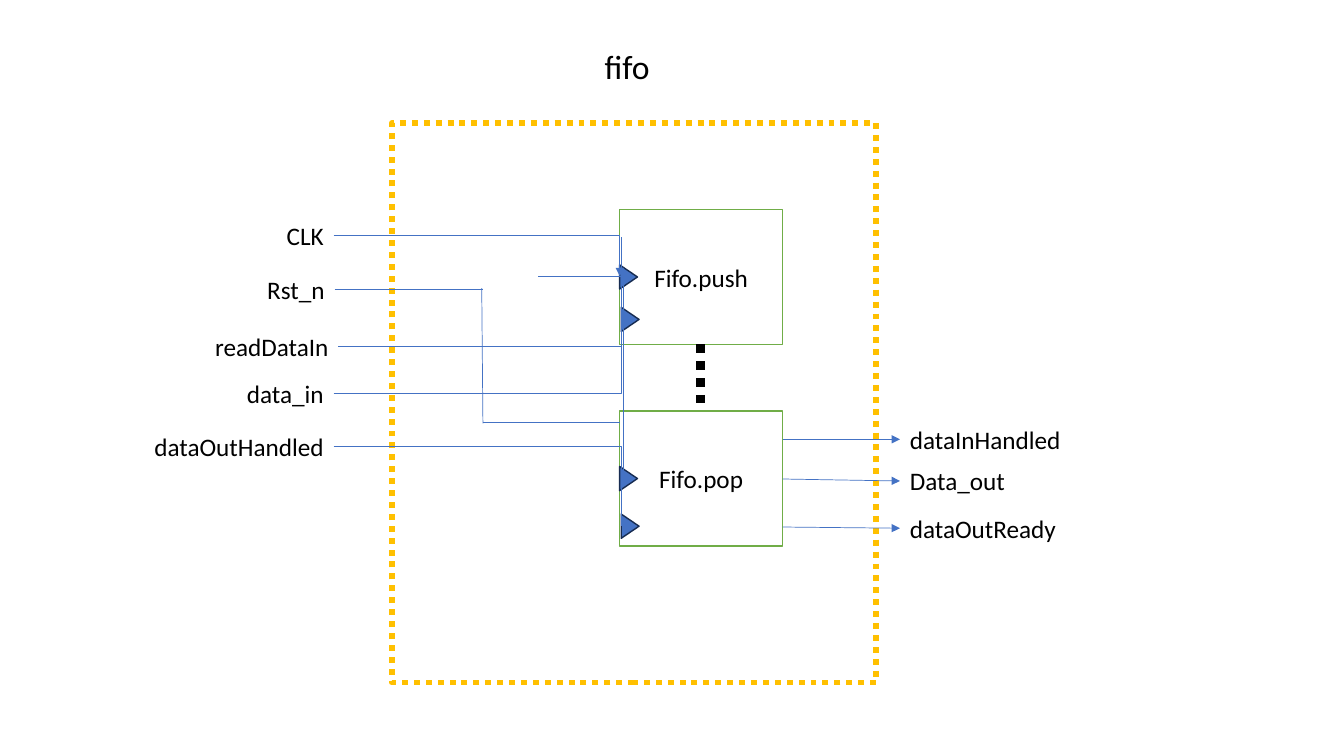
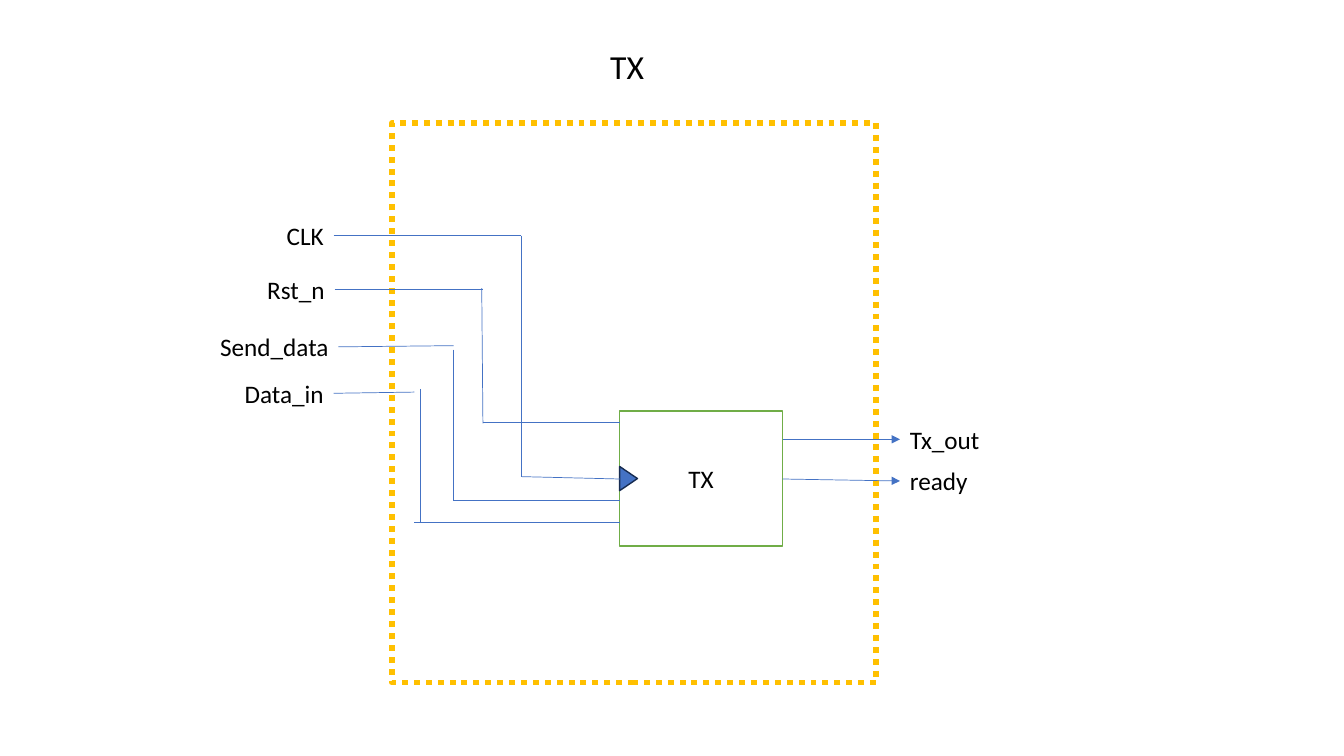
import pptx
import pptx.dml.color
import pptx.enum.dml
import pptx.enum.shapes
import pptx.enum.text
import pptx.oxml.ns
import pptx.util
from lxml import etree

Cm, Pt = pptx.util.Cm, pptx.util.Pt
SHAPE = pptx.enum.shapes.MSO_SHAPE
CONNECTOR = pptx.enum.shapes.MSO_CONNECTOR
ALIGN = pptx.enum.text.PP_ALIGN
ANCHOR = pptx.enum.text.MSO_ANCHOR
DOTS = pptx.enum.dml.MSO_LINE.ROUND_DOT
qn = pptx.oxml.ns.qn

# Shared geometry in centimetres
BLOCK_LEFT, BLOCK_WIDTH, BLOCK_HEIGHT = 15.62, 4.1, 3.4
BLOCK_RIGHT = BLOCK_LEFT + BLOCK_WIDTH
PUSH_TOP, POP_TOP = 5.28, 10.36
LABEL_HEIGHT = 1.02
OUTPUT_LEFT, OUTPUT_WIDTH = 22.68, 5.6
OUTPUT_ROWS = [(11.07, 11.07), (12.07, 12.12), (13.28, 13.31)]


def rgb(value):
    return pptx.dml.color.RGBColor.from_string(value)


def put_text(tf, text, size=18, align=ALIGN.LEFT, color="000000", font="Calibri"):
    p = tf.paragraphs[0]
    p.alignment = align
    r = p.add_run()
    r.text = text
    r.font.size = Pt(size)
    r.font.name = font
    r.font.color.rgb = rgb(color)


class Diagram:
    WIRE, FRAME, BLOCK, CLOCK_EDGE = "4472C4", "FFC000", "70AD47", "172C51"

    def __init__(self, prs):
        self.prs = prs
        self.s = None

    def new_slide(self, title):
        self.s = self.prs.slides.add_slide(self.prs.slide_layouts[6])
        self.box(SHAPE.RECTANGLE, 9.88, 3.1, 12.2, 14.1, self.FRAME, weight=4.25, dash=DOTS)
        self.text(title, 13.94, 1.02, 3.73, 1.27, size=24, align=ALIGN.CENTER)

    def text(self, text, left, top, width, height=LABEL_HEIGHT, **fmt):
        sp = self.s.shapes.add_textbox(Cm(left), Cm(top), Cm(width), Cm(height))
        sp.text_frame.word_wrap = True
        put_text(sp.text_frame, text, **fmt)

    def box(self, kind, left, top, width, height, line, fill="FFFFFF", **stroke):
        sp = self.s.shapes.add_shape(kind, Cm(left), Cm(top), Cm(width), Cm(height))
        sp.shadow.inherit = False
        sp.fill.solid()
        sp.fill.fore_color.rgb = rgb(fill)
        self.stroke(sp.line, line, **stroke)
        return sp

    def stroke(self, line, color, weight=1, dash=None):
        line.color.rgb = rgb(color)
        line.width = Pt(weight)
        if dash:
            line.dash_style = dash

    def block(self, text, top, clocks):
        sp = self.box(SHAPE.RECTANGLE, BLOCK_LEFT, top, BLOCK_WIDTH, BLOCK_HEIGHT, self.BLOCK)
        sp.text_frame.vertical_anchor = ANCHOR.MIDDLE
        put_text(sp.text_frame, text, align=ALIGN.CENTER)
        # Clock marks: centre x, centre y below the top of the block
        base, depth = 0.61, 0.45
        for x, y in clocks:
            mark = self.box(SHAPE.ISOSCELES_TRIANGLE, x - base / 2, top + y - depth / 2,
                            base, depth, self.CLOCK_EDGE, fill=self.WIRE)
            mark.rotation = 90

    def wire(self, x1, y1, x2, y2, bent=False, arrow=False, color=WIRE, weight=0.5, dash=None):
        kind = CONNECTOR.ELBOW if bent else CONNECTOR.STRAIGHT
        c = self.s.shapes.add_connector(kind, Cm(x1), Cm(y1), Cm(x2), Cm(y2))
        self.stroke(c.line, color, weight, dash)
        spPr = c._element.spPr
        if bent:  # a single corner: across, then up or down
            spPr.find(qn("a:prstGeom")).set("prst", "bentConnector2")
        if arrow:
            etree.SubElement(spPr.find(qn("a:ln")), qn("a:tailEnd"), type="triangle")
        etree.SubElement(spPr, qn("a:effectLst"))

    def wires(self, routes, **fmt):
        for route in routes:
            self.wire(*route, **fmt)

    def inputs(self, labels):
        for text, right, y, width in labels:
            self.text(text, right - width, y - LABEL_HEIGHT / 2, width, align=ALIGN.RIGHT)

    def outputs(self, names):
        for text, (y1, y2) in zip(names, OUTPUT_ROWS):
            self.wire(BLOCK_RIGHT, y1, OUTPUT_LEFT, y2, arrow=True)
            self.text(text, OUTPUT_LEFT, y2 - LABEL_HEIGHT / 2, OUTPUT_WIDTH)

    def clock_and_reset(self):
        self.inputs([("CLK", 8.41, 5.94, 1.8), ("Rst_n", 8.43, 7.29, 2.87)])
        self.wires([(8.41, 5.94, 13.13, 5.94), (8.43, 7.29, 12.17, 7.29),
                    (12.14, 7.26, 12.17, 10.67), (12.17, 10.64, BLOCK_LEFT, 10.64)])


def build_fifo(d):
    d.new_slide("fifo")
    d.block("Fifo.pop", POP_TOP, [(15.84, 1.7), (15.88, 2.9)])
    d.block("Fifo.push", PUSH_TOP, [(15.84, 1.7), (15.88, 2.77)])
    d.outputs(["dataInHandled", "Data_out", "dataOutReady"])
    d.clock_and_reset()
    d.inputs([("readDataIn", 8.53, 8.74, 4.45), ("data_in", 8.41, 9.91, 4.01),
              ("dataOutHandled", 8.41, 11.25, 6.5)])
    # Wires into the two blocks
    d.wire(13.13, 5.94, BLOCK_LEFT, 6.96, bent=True, arrow=True)
    d.wires([(8.53, 8.74, 15.65, 8.05), (8.41, 9.91, 15.65, 5.97),
             (13.56, 6.96, 15.72, 12.17), (8.41, 11.25, 15.65, 13.26)], bent=True)
    # Dotted link between push and pop
    d.wire(17.65, PUSH_TOP + BLOCK_HEIGHT, 17.65, POP_TOP, color="000000", weight=6, dash=DOTS)


def build_tx(d):
    d.new_slide("TX")
    d.block("TX", POP_TOP, [(15.84, 1.7)])
    d.outputs(["Tx_out", "ready"])
    d.clock_and_reset()
    d.inputs([("Send_data", 8.53, 8.74, 4.45), ("Data_in", 8.41, 9.91, 4.01)])
    d.wires([
        # Clock
        (13.13, 5.94, 13.13, 12.01), (13.13, 12.01, BLOCK_LEFT, 12.07),
        # Send_data
        (8.53, 8.74, 11.43, 8.71), (11.43, 8.81, 11.43, 12.62), (11.43, 12.62, BLOCK_LEFT, 12.62),
        # Data_in
        (8.41, 9.91, 10.44, 9.88), (10.59, 9.8, 10.59, 13.18), (10.44, 13.16, BLOCK_LEFT, 13.16),
    ])


def main():
    prs = pptx.Presentation()
    prs.slide_width, prs.slide_height = Cm(33.87), Cm(19.05)
    d = Diagram(prs)
    build_fifo(d)
    build_tx(d)
    prs.save("out.pptx")


if __name__ == "__main__":
    main()
